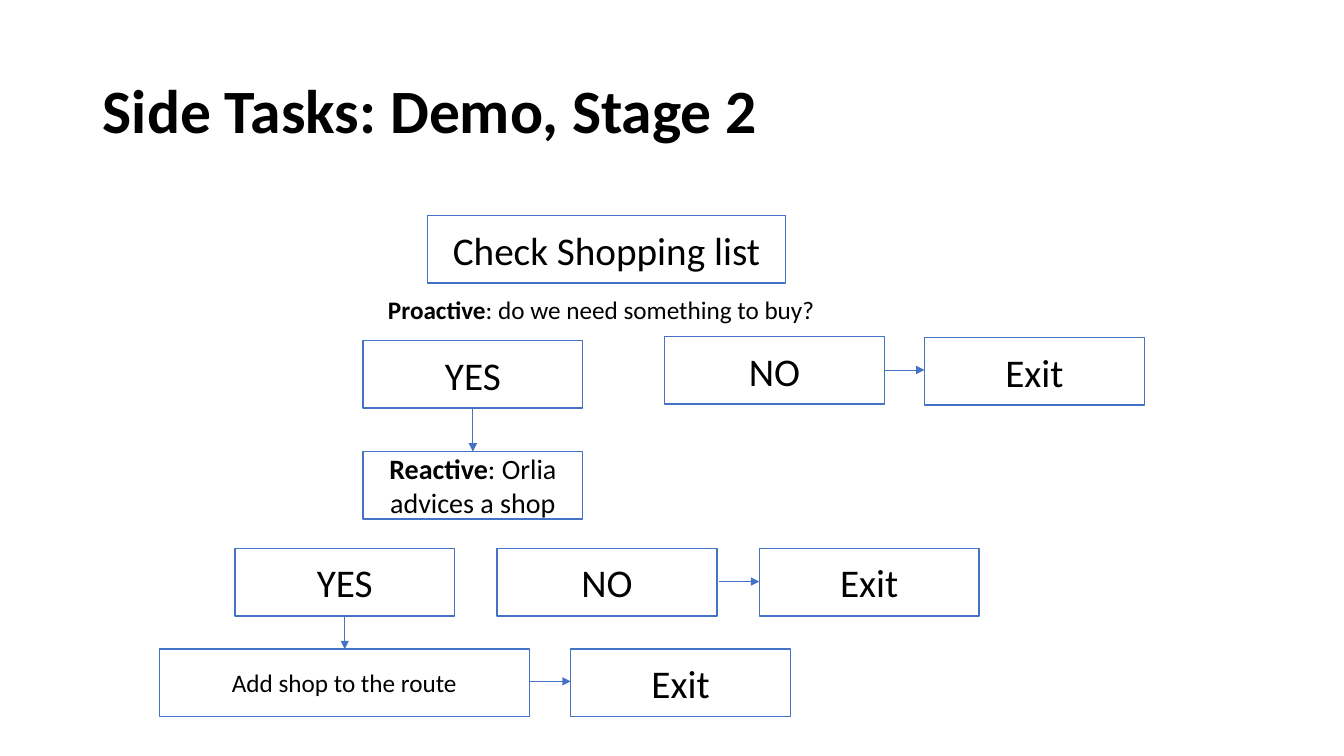
"""Build the slide on the shopping list dialogue of the side tasks demo."""
from dataclasses import dataclass

from lxml.etree import SubElement
from pptx import Presentation
from pptx.dml.color import RGBColor
from pptx.enum.shapes import MSO_CONNECTOR, MSO_SHAPE
from pptx.enum.text import MSO_ANCHOR, PP_ALIGN
from pptx.oxml.ns import qn
from pptx.slide import Slide
from pptx.text.text import TextFrame
from pptx.util import Inches, Pt

FONT = "Calibri"
BLACK, WHITE, BLUE = "000000", "FFFFFF", "4472C4"
STEP_HEIGHT = 0.67


@dataclass(frozen=True)
class Step:
    """A box of the dialogue, with an optional bold lead before its text."""

    text: str
    left: float
    top: float
    width: float = 2.18
    size: int = 28
    lead: str = ""


@dataclass(frozen=True)
class Arrow:
    """A straight arrow between two points."""

    x1: float
    y1: float
    x2: float
    y2: float


STEPS = [
    Step("Check Shopping list", 4.24, 2.14, width=3.55),
    Step("YES", 3.6, 3.38),
    Step("NO", 6.59, 3.34),
    Step("Exit", 9.17, 3.35),
    Step(": Orlia advices a shop", 3.6, 4.48, size=20, lead="Reactive"),
    Step("YES", 2.33, 5.44),
    Step("NO", 4.93, 5.44),
    Step("Exit", 7.53, 5.44),
    Step("Add shop to the route", 1.58, 6.44, width=3.67, size=18),
    Step("Exit", 5.66, 6.44),
]

ARROWS = [
    Arrow(8.77, 3.67, 9.17, 3.67),
    Arrow(4.69, 4.05, 4.69, 4.48),
    Arrow(7.13, 5.77, 7.53, 5.77),
    Arrow(3.42, 6.11, 3.42, 6.44),
    Arrow(5.26, 6.76, 5.66, 6.76),
]


def color(value: str) -> RGBColor:
    """Turn a hex string into a colour."""
    return RGBColor.from_string(value)


def write(frame: TextFrame, text: str, *, size: int, lead: str = "",
          bold: bool = False, align: PP_ALIGN = PP_ALIGN.LEFT,
          anchor: MSO_ANCHOR = MSO_ANCHOR.MIDDLE,
          spacing: float = 1.0) -> None:
    """Write one formatted paragraph, with an optional bold lead."""
    frame.word_wrap = True
    frame.vertical_anchor = anchor
    paragraph = frame.paragraphs[0]
    paragraph.alignment = align
    paragraph.line_spacing = spacing
    for words, heavy in ((lead, True), (text, bold)):
        if words:
            run = paragraph.add_run()
            run.text = words
            run.font.name = FONT
            run.font.size = Pt(size)
            run.font.bold = heavy
            run.font.color.rgb = color(BLACK)


def add_title(slide: Slide, text: str) -> None:
    """Place and fill the title."""
    title = slide.shapes.title
    title.left, title.top = Inches(0.92), Inches(0.4)
    title.width, title.height = Inches(11.5), Inches(1.45)
    write(title.text_frame, text, size=44, bold=True, spacing=0.9)


def add_question(slide: Slide) -> None:
    """Add the proactive question under the first step."""
    question = slide.shapes.add_textbox(
        Inches(3.75), Inches(2.87), Inches(4.54), Inches(0.4))
    write(question.text_frame, ": do we need something to buy?", size=18,
          lead="Proactive", anchor=MSO_ANCHOR.TOP)


def add_step(slide: Slide, step: Step) -> None:
    """Draw one box of the dialogue."""
    box = slide.shapes.add_shape(
        MSO_SHAPE.RECTANGLE, Inches(step.left), Inches(step.top),
        Inches(step.width), Inches(STEP_HEIGHT))
    box.shadow.inherit = False
    box.fill.solid()
    box.fill.fore_color.rgb = color(WHITE)
    box.line.color.rgb = color(BLUE)
    box.line.width = Pt(1)
    write(box.text_frame, step.text, size=step.size, lead=step.lead,
          align=PP_ALIGN.CENTER)


def add_arrow(slide: Slide, arrow: Arrow) -> None:
    """Draw one arrow with a triangular head at its end."""
    connector = slide.shapes.add_connector(
        MSO_CONNECTOR.STRAIGHT, Inches(arrow.x1), Inches(arrow.y1),
        Inches(arrow.x2), Inches(arrow.y2))
    connector.line.color.rgb = color(BLUE)
    connector.line.width = Pt(0.5)
    SubElement(connector.line._get_or_add_ln(), qn("a:tailEnd"),
               type="triangle")
    SubElement(connector._element.spPr, qn("a:effectLst"))


def main() -> None:
    """Build and save the presentation."""
    presentation = Presentation()
    presentation.slide_width = Inches(13.33)
    presentation.slide_height = Inches(7.5)
    slide = presentation.slides.add_slide(presentation.slide_layouts[5])
    add_title(slide, "Side Tasks: Demo, Stage 2")
    add_question(slide)
    for step in STEPS:
        add_step(slide, step)
    for arrow in ARROWS:
        add_arrow(slide, arrow)
    presentation.save("out.pptx")


if __name__ == "__main__":
    main()
